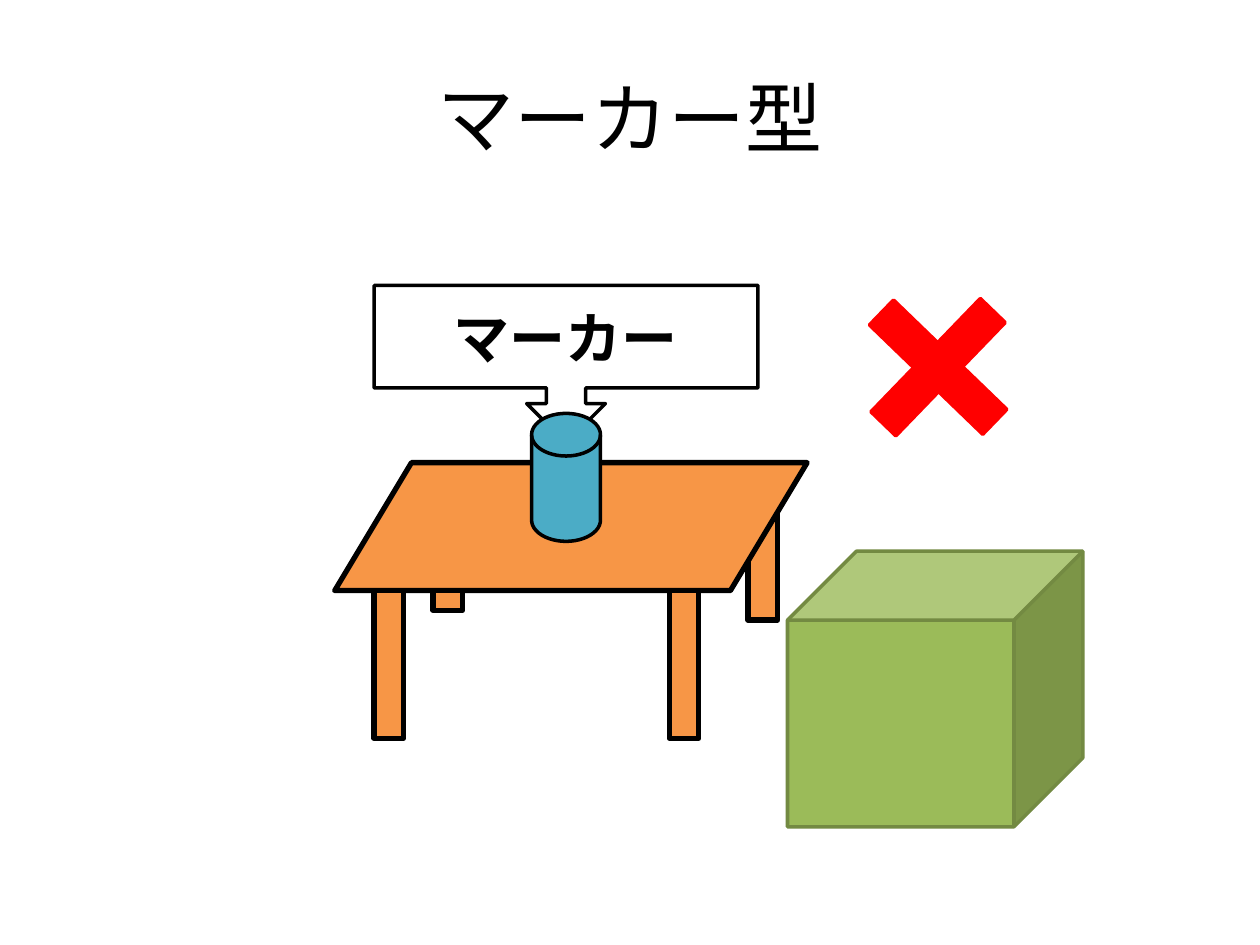
from dataclasses import dataclass

import pptx
import pptx.dml.color
import pptx.enum.shapes
import pptx.enum.text
import pptx.slide
import pptx.shapes.autoshape
import pptx.text.text
import pptx.util

SHAPE = pptx.enum.shapes.MSO_SHAPE
SLIDE_WIDTH = pptx.util.Inches(10)
SLIDE_HEIGHT = pptx.util.Inches(7.5)
COLUMNS = 128
CELL = SLIDE_WIDTH / COLUMNS

COLORS = {
    "black": "000000",
    "white": "FFFFFF",
    "table": "F79646",
    "marker": "4BACC6",
    "box": "9BBB59",
    "box edge": "738A42",
    "cross": "FF0000",
}


@dataclass(frozen=True)
class Box:
    """A rectangle in grid cells."""
    column: float
    row: float
    columns: float
    rows: float

    def place(self) -> tuple[int, ...]:
        lengths = (self.column, self.row, self.columns, self.rows)
        return tuple(round(length * CELL) for length in lengths)


@dataclass(frozen=True)
class Part:
    kind: SHAPE
    box: Box
    fill: str
    edge: str = "black"
    edge_width: float = 2
    adjustment: float | None = None
    rotation: float = 0


def table_leg(column: float, row: float, rows: float) -> Part:
    return Part(SHAPE.RECTANGLE, Box(column, row, 3, rows), "table", edge_width=3)


TITLE_BOX = Box(6.4, 3.84, 115.2, 16)
CUBE = Part(SHAPE.CUBE, Box(80, 56, 30, 28), "box", "box edge")
TABLE = [
    table_leg(76, 48, 15),
    Part(SHAPE.PARALLELOGRAM, Box(34, 47, 48, 13), "table", edge_width=3, adjustment=0.6),
    table_leg(38, 60, 15),
    table_leg(68, 60, 15),
    table_leg(44, 60, 2),
]
CALLOUT = Part(SHAPE.DOWN_ARROW_CALLOUT, Box(38, 29, 39, 16), "white")
MARKER = Part(SHAPE.FLOWCHART_MAGNETIC_DISK, Box(54, 42, 7, 13), "marker")
CROSS = Part(SHAPE.CROSS, Box(87.3, 29.3, 16, 16), "cross", "cross",
             adjustment=0.39, rotation=44)


def color(name: str) -> pptx.dml.color.RGBColor:
    return pptx.dml.color.RGBColor.from_string(COLORS[name])


def draw_part(slide: pptx.slide.Slide, part: Part) -> pptx.shapes.autoshape.Shape:
    shape = slide.shapes.add_shape(part.kind, *part.box.place())
    shape.shadow.inherit = False
    shape.rotation = part.rotation
    if part.adjustment is not None:
        shape.adjustments[0] = part.adjustment
    shape.fill.solid()
    shape.fill.fore_color.rgb = color(part.fill)
    shape.line.color.rgb = color(part.edge)
    shape.line.width = pptx.util.Pt(part.edge_width)
    return shape


def write_centred(frame: pptx.text.text.TextFrame, text: str, font_name: str,
                  size: float, bold: bool = False) -> None:
    frame.text = text
    frame.vertical_anchor = pptx.enum.text.MSO_ANCHOR.MIDDLE
    paragraph = frame.paragraphs[0]
    paragraph.alignment = pptx.enum.text.PP_ALIGN.CENTER
    paragraph.font.name = font_name
    paragraph.font.size = pptx.util.Pt(size)
    paragraph.font.bold = bold
    paragraph.font.color.rgb = color("black")


def main() -> None:
    presentation = pptx.Presentation()
    presentation.slide_width = SLIDE_WIDTH
    presentation.slide_height = SLIDE_HEIGHT
    slide = presentation.slides.add_slide(presentation.slide_layouts.get_by_name("Title Only"))

    title = slide.shapes.title
    title.left, title.top, title.width, title.height = TITLE_BOX.place()
    write_centred(title.text_frame, "マーカー型", "Calibri", 44)

    for part in [CUBE, *TABLE]:
        draw_part(slide, part)
    callout = draw_part(slide, CALLOUT)
    write_centred(callout.text_frame, "マーカー", "Arial", 32, bold=True)
    for part in [MARKER, CROSS]:
        draw_part(slide, part)

    presentation.save("out.pptx")


if __name__ == "__main__":
    main()
